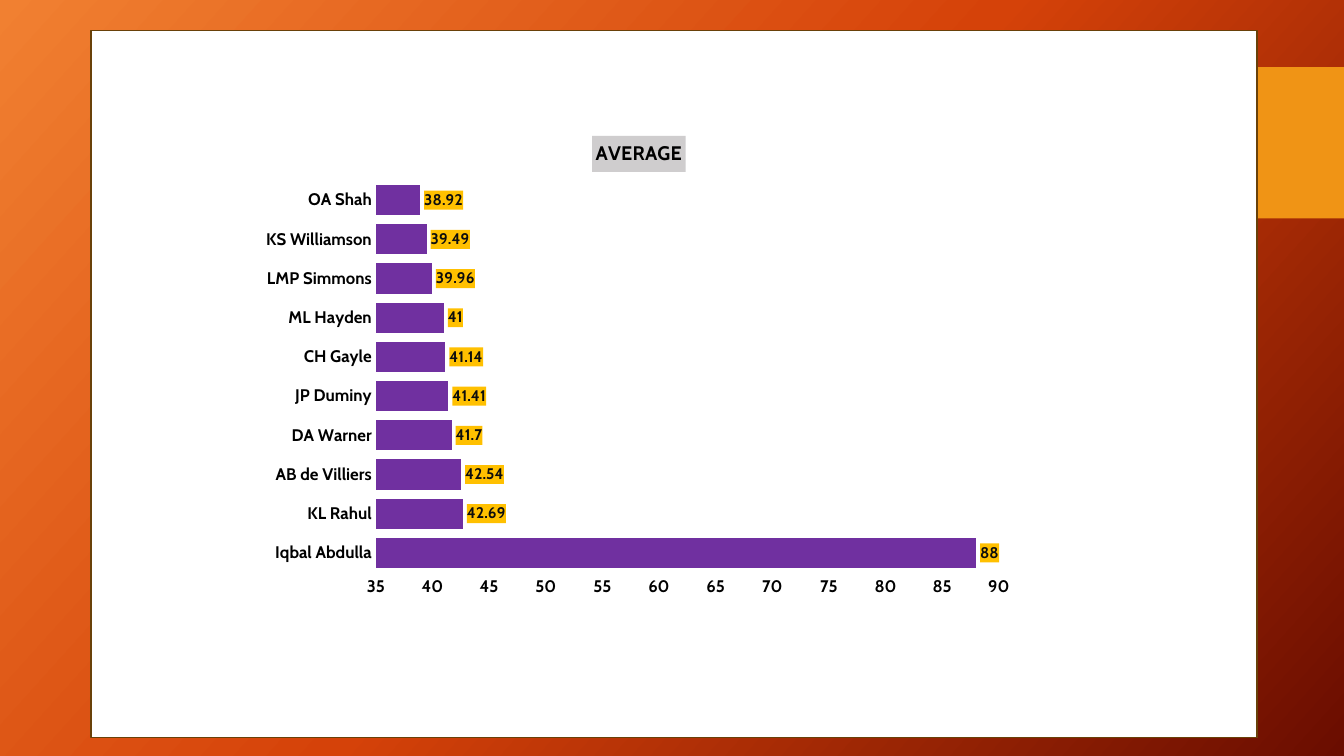
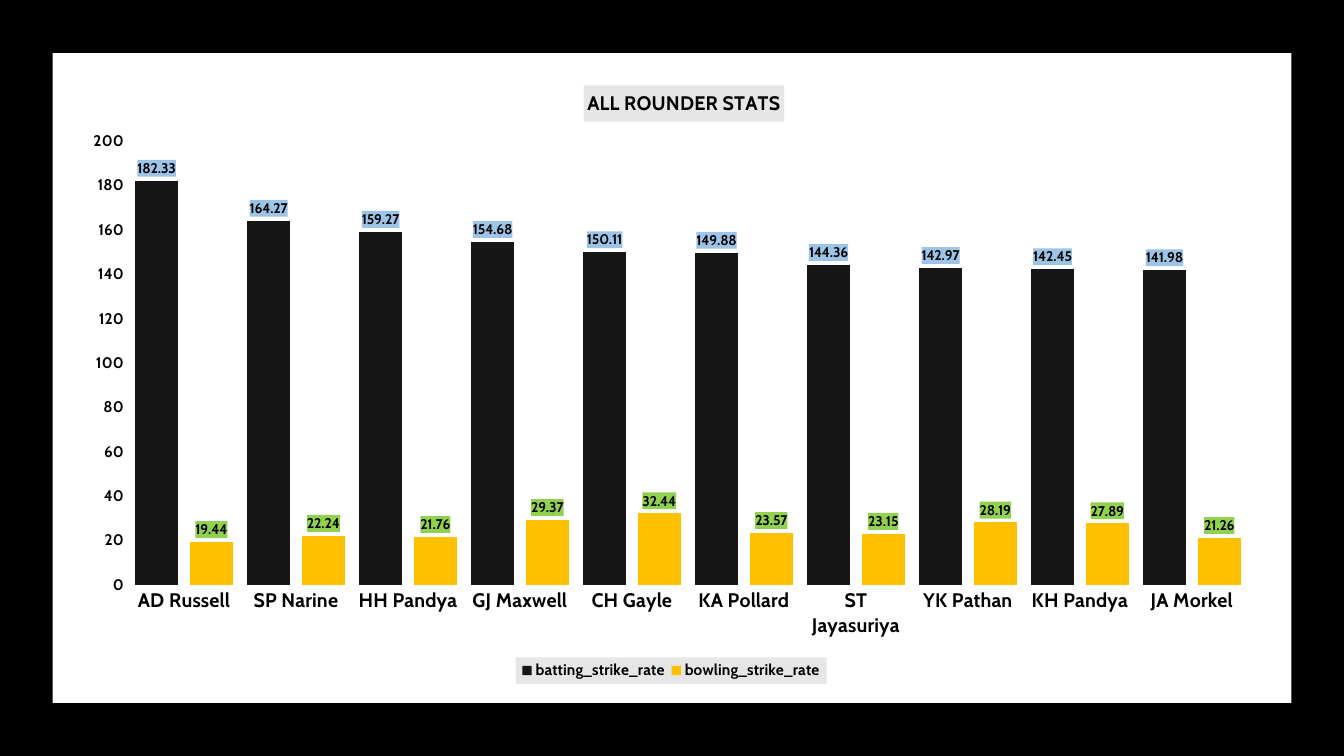
from lxml import etree
from pptx import Presentation
from pptx.chart.data import CategoryChartData
from pptx.dml.color import RGBColor
from pptx.enum.chart import (
    XL_CHART_TYPE, XL_LABEL_POSITION, XL_LEGEND_POSITION, XL_TICK_MARK)
from pptx.enum.shapes import MSO_SHAPE
from pptx.oxml.ns import qn
from pptx.util import Pt

BAR = XL_CHART_TYPE.BAR_CLUSTERED
COLUMN = XL_CHART_TYPE.COLUMN_CLUSTERED
OUTSIDE = XL_LABEL_POSITION.OUTSIDE_END
BOTTOM = XL_LEGEND_POSITION.BOTTOM
NO_TICK = XL_TICK_MARK.NONE
RECT = MSO_SHAPE.RECTANGLE

WIDE, HIGH = 960, 540
FACE = "Cabin"
HUES = {
    "glow": "F18031", "flame": "D54209", "ember": "6A0D00",
    "band": "F09415", "edge": "694109", "white": "FFFFFF",
    "black": "000000", "ink": "0D0D0D", "coal": "161616",
    "plum": "7030A0", "gold": "FFC000", "sky": "9DC3E6",
    "lime": "92D050", "grey": "CFCDCE", "pale": "E6E6E6",
}


def hue(name):
    return RGBColor.from_string(HUES[name])


def paint(fill, name):
    fill.solid()
    fill.fore_color.rgb = hue(name)


def style(font, size, name="black"):
    font.name, font.size, font.bold = FACE, Pt(size), True
    font.color.rgb = hue(name)


def backdrop(deck):
    """Set the shared gradient on the master."""
    master = deck.slide_master
    fill = master.background.fill
    fill.gradient()
    fill.gradient_angle = 360 - 42
    stops = master.element.find(".//" + qn("p:bg")).find(".//" + qn("a:gsLst"))
    for old in list(stops):
        stops.remove(old)
    for step, name in enumerate(("glow", "flame", "ember")):
        stop = etree.SubElement(stops, qn("a:gs"), pos=str(step * 50000))
        etree.SubElement(stop, qn("a:srgbClr"), val=HUES[name])


def block(slide, box, name, edge=None):
    shape = slide.shapes.add_shape(RECT, *map(Pt, box))
    shape.shadow.inherit = False
    paint(shape.fill, name)
    if edge:
        shape.line.color.rgb = hue(edge)
        shape.line.width = Pt(1)
    else:
        shape.line.fill.background()


def tint(part, name):
    """Fill the box behind a legend or a set of labels."""
    props = etree.Element(qn("c:spPr"))
    solid = etree.SubElement(props, qn("a:solidFill"))
    etree.SubElement(solid, qn("a:srgbClr"), val=HUES[name])
    part.find(qn("c:txPr")).addprevious(props)


def place(part, size, box, inner=False):
    """Fix a chart part at a box in points, measured inside the chart."""
    for old in part.findall(qn("c:layout")):
        part.remove(old)
    layout = etree.Element(qn("c:layout"))
    manual = etree.SubElement(layout, qn("c:manualLayout"))
    if inner:
        etree.SubElement(manual, qn("c:layoutTarget"), val="inner")
    for key in ("xMode", "yMode"):
        etree.SubElement(manual, qn("c:" + key), val="edge")
    for key, value, whole in zip("xywh", box, size * 2):
        etree.SubElement(manual, qn("c:" + key), val=f"{value / whole:.4f}")
    if inner:
        part.insert(0, layout)
    else:
        part.find(qn("c:overlay")).addprevious(layout)


def scale(axis, size, line=None):
    axis.major_tick_mark = axis.minor_tick_mark = NO_TICK
    axis.has_major_gridlines = False
    style(axis.tick_labels.font, size)
    if line:
        axis.format.line.color.rgb = hue(line)
        axis.format.line.width = Pt(0.75)
    else:
        axis.format.line.fill.background()


def graph(slide, box, kind, cats, rows, span, area, gap, sizes, line=None):
    """Draw a chart; rows hold name, values, bar hue, label hue, text hue."""
    data = CategoryChartData()
    data.categories = cats
    for name, values, *_ in rows:
        data.add_series(name, values)
    chart = slide.shapes.add_chart(kind, *map(Pt, box), data).chart
    chart.has_legend = False
    chart.font.name, chart.font.size = FACE, Pt(10)

    # Axes
    scale(chart.category_axis, sizes[0], line)
    axis = chart.value_axis
    scale(axis, sizes[1])
    axis.minimum_scale, axis.maximum_scale, axis.major_unit = span
    if line:
        axis.has_major_gridlines = True
        grid = axis.major_gridlines.format.line
        grid.color.rgb = hue(line)
        grid.width = Pt(0.75)

    # Bars and labels
    plot = chart.plots[0]
    plot.gap_width = gap
    plot.vary_by_categories = False
    for series, (_, _, bar, _, text) in zip(plot.series, rows):
        series.invert_if_negative = False
        paint(series.format.fill, bar)
        labels = series.data_labels
        labels.show_value = True
        labels.position = OUTSIDE
        style(labels.font, sizes[2], text)
    for part, row in zip(chart.element.iter(qn("c:dLbls")), rows):
        tint(part, row[3])
    place(chart.element.find(".//" + qn("c:plotArea")), box[2:], area, True)
    return chart


def head(chart, size, text, spot, back):
    """Put the chart title on its tinted box."""
    chart.has_title = True
    title = chart.chart_title
    run = title.text_frame.paragraphs[0].add_run()
    run.text = text
    style(run.font, 14)
    paint(title.format.fill, back)
    place(chart.element.find(".//" + qn("c:title")), size, spot)


def legend(chart, size, box, back):
    chart.has_legend = True
    chart.legend.position = BOTTOM
    chart.legend.include_in_layout = False
    style(chart.legend.font, 11)
    part = chart.element.find(".//" + qn("c:legend"))
    tint(part, back)
    place(part, size, box)


def average(slide, box):
    left, top, wide, high = box
    block(slide, (834, 48, 126, 108), "band")
    block(slide, box, "white", "edge")
    size = (554, 346)
    cats = ["Iqbal Abdulla", "KL Rahul", "AB de Villiers", "DA Warner",
            "JP Duminy", "CH Gayle", "ML Hayden", "LMP Simmons",
            "KS Williamson", "OA Shah"]
    means = [88, 42.69, 42.54, 41.7, 41.41, 41.14, 41, 39.96, 39.49, 38.92]
    chart = graph(
        slide, (left + 114.5, top + 64, *size), BAR, cats,
        [("Series 1", means, "plum", "gold", "ink")],
        span=(35, 90, 5), area=(89, 43, 445, 280), gap=30,
        sizes=(12, 12, 11))
    head(chart, size, "AVERAGE", (243.5, 11), "grey")


def rounder(slide, box):
    left, top, wide, high = box
    block(slide, (0, 0, WIDE, HIGH), "black")
    block(slide, box, "white")
    size = (860, 441)
    cats = ["AD Russell", "SP Narine", "HH Pandya", "GJ Maxwell", "CH Gayle",
            "KA Pollard", "ST Jayasuriya", "YK Pathan", "KH Pandya",
            "JA Morkel"]
    bat = [182.33, 164.27, 159.27, 154.68, 150.11,
           149.88, 144.36, 142.97, 142.45, 141.98]
    bowl = [19.44, 22.24, 21.76, 29.37, 32.44,
            23.57, 23.15, 28.19, 27.89, 21.26]
    chart = graph(
        slide, (left + 12, top + 10, *size), COLUMN, cats,
        [("batting_strike_rate", bat, "coal", "sky", "black"),
         ("bowling_strike_rate", bowl, "gold", "lime", "black")],
        span=(0, 200, 20), area=(42, 53, 800, 317), gap=33,
        sizes=(14, 11, 10), line="white")
    chart.plots[0].overlap = -27
    head(chart, size, "ALL ROUNDER STATS", (367.5, 13), "pale")
    legend(chart, size, (319, 421.5, 222, 19), "pale")


def main():
    deck = Presentation()
    deck.slide_width, deck.slide_height = Pt(WIDE), Pt(HIGH)
    backdrop(deck)
    blank = deck.slide_layouts[6]
    average(deck.slides.add_slide(blank), (65, 22, 833, 505))
    rounder(deck.slides.add_slide(blank), (37.5, 38, 885, 464))
    deck.save("out.pptx")


if __name__ == "__main__":
    main()
